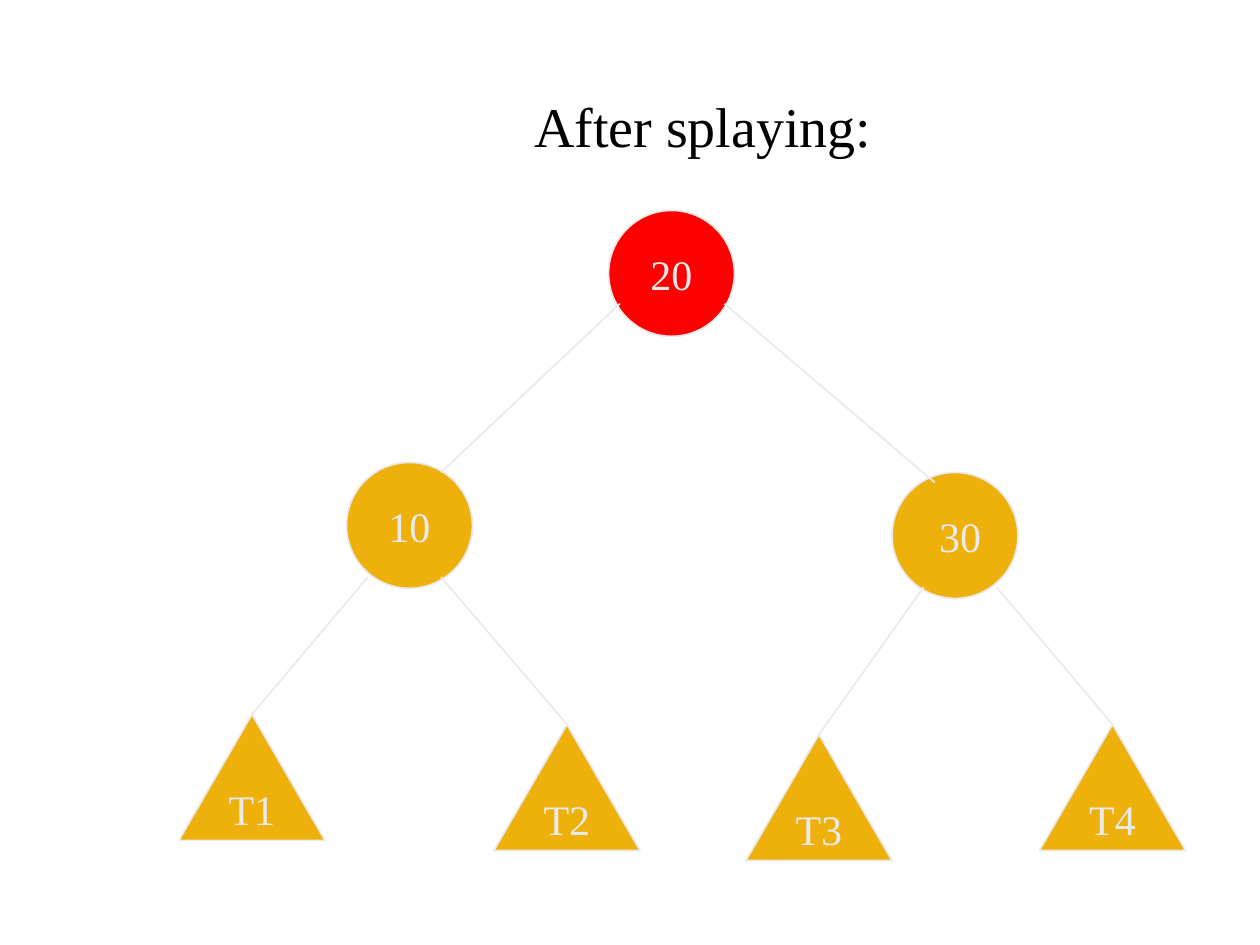
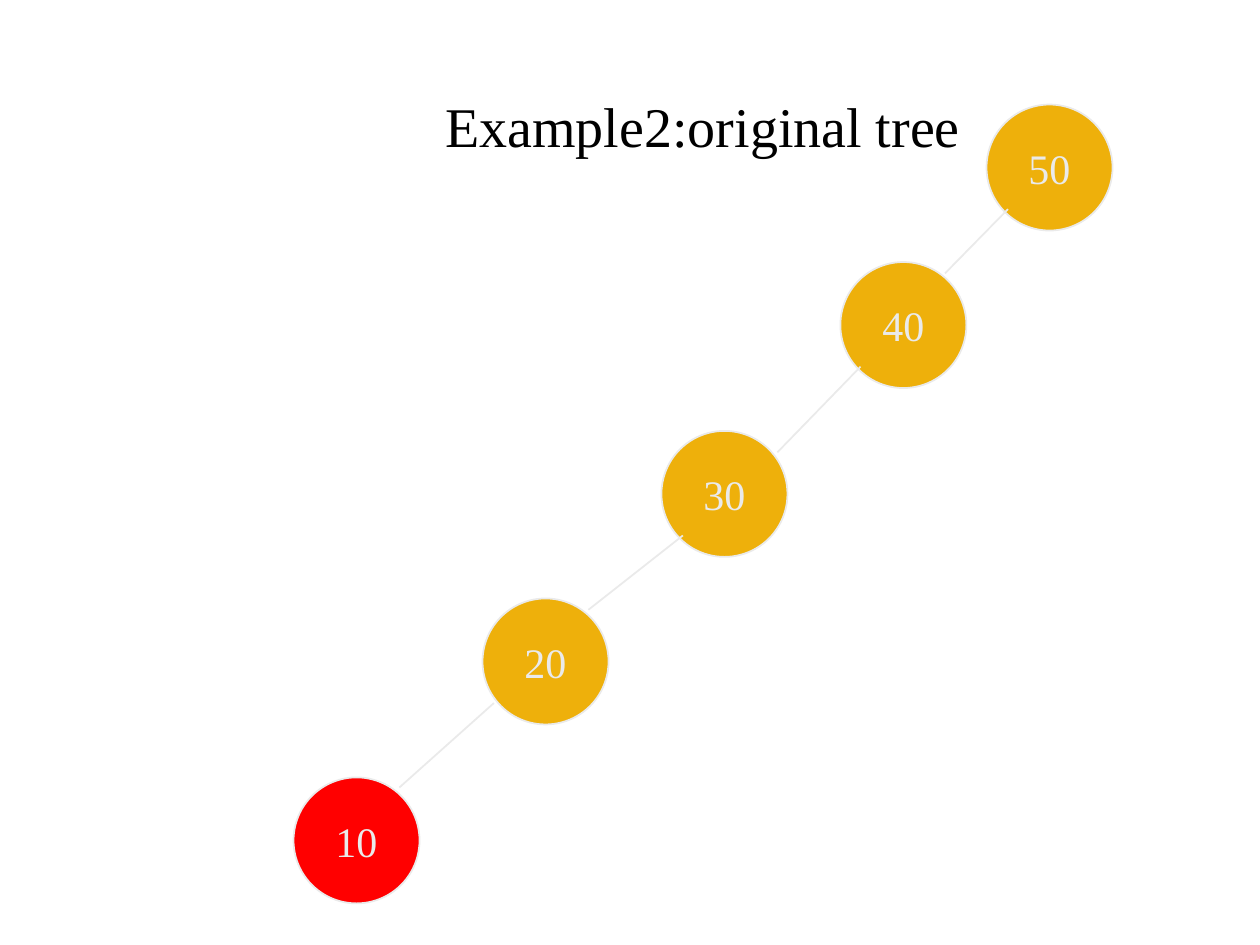
from lxml.etree import SubElement
from pptx import Presentation
from pptx.dml.color import RGBColor
from pptx.enum.shapes import MSO_CONNECTOR, MSO_SHAPE
from pptx.enum.text import MSO_ANCHOR, PP_ALIGN
from pptx.oxml.ns import qn
from pptx.util import Inches, Pt

COLORS = {"node": "EEB00B", "splayed": "FF0000", "pale": "EAEAEA",
          "title": "000000", "background": "FFFFFF"}
FONT = "Times New Roman"
TITLE_FONT = {"name": FONT, "size": Pt(32)}
LABEL_FONT = {"name": FONT, "size": Pt(24)}
FRAME = {"vertical_anchor": MSO_ANCHOR.MIDDLE,
         "margin_left": Inches(0.1), "margin_right": Inches(0.1),
         "margin_top": Inches(0.05), "margin_bottom": Inches(0.05)}
NODE_SIZE = 1
SUBTREE_WIDTH = 1.16


def color(key):
    return RGBColor.from_string(COLORS[key])


def apply(target, values):
    for attribute, value in values.items():
        setattr(target, attribute, value)


class TreeDeck:
    """Holds the shared style and the slide being drawn."""

    def __init__(self):
        self.deck = Presentation()
        apply(self.deck, {"slide_width": Inches(10), "slide_height": Inches(7.5)})
        self.slide = None

    def new_slide(self, heading):
        self.slide = self.deck.slides.add_slide(self.deck.slide_layouts[6])
        background = self.slide.background.fill
        background.solid()
        background.fore_color.rgb = color("background")
        title = self.slide.shapes.add_textbox(
            Inches(1.33), Inches(0.33), Inches(8.5), Inches(1.32))
        self.add_text(title, heading, TITLE_FONT, "title", wrap=True)

    def add_text(self, holder, text, font, ink, wrap=False):
        frame = holder.text_frame
        apply(frame, {**FRAME, "word_wrap": wrap})
        paragraph = frame.paragraphs[0]
        paragraph.alignment = PP_ALIGN.CENTER
        run = paragraph.add_run()
        run.text = text
        apply(run.font, font)
        run.font.color.rgb = color(ink)

    def outline(self, line):
        line.width = Pt(1)
        line.color.rgb = color("pale")

    def labelled(self, kind, label, left, top, width, fill):
        figure = self.slide.shapes.add_shape(
            kind, Inches(left), Inches(top), Inches(width), Inches(NODE_SIZE))
        figure.shadow.inherit = False
        figure.fill.solid()
        figure.fill.fore_color.rgb = color(fill)
        self.outline(figure.line)
        self.add_text(figure, label, LABEL_FONT, "pale")
        return figure

    def node(self, label, left, top, fill="node"):
        return self.labelled(MSO_SHAPE.OVAL, label, left, top, NODE_SIZE, fill)

    def subtree(self, label, left, top):
        return self.labelled(MSO_SHAPE.ISOSCELES_TRIANGLE, label, left, top,
                             SUBTREE_WIDTH, "node")

    def edge(self, child, parent):
        points = [Inches(value) for value in (*child, *parent)]
        branch = self.slide.shapes.add_connector(MSO_CONNECTOR.STRAIGHT, *points)
        self.outline(branch.line)
        SubElement(branch._element.spPr, qn("a:effectLst"))
        return branch


def draw_splayed_tree(tree):
    tree.new_slide("After splaying:")
    tree.node("10", 2.75, 3.67)
    tree.node("20", 4.83, 1.67, "splayed")
    tree.node(" 30", 7.08, 3.75)

    # Branches from the root
    tree.edge((3.5, 3.75), (4.92, 2.41))
    tree.edge((7.42, 3.83), (5.75, 2.41))

    # Subtrees, each hung by its apex from a point on its parent
    subtrees = [("T1", 1.42, 5.67, (2.92, 4.58)),
                ("T2", 3.92, 5.75, (3.5, 4.58)),
                ("T3", 5.92, 5.83, (7.33, 4.66)),
                ("T4", 8.25, 5.75, (7.91, 4.66))]
    for label, left, top, parent in subtrees:
        triangle = tree.subtree(label, left, top)
        apex = (left + SUBTREE_WIDTH / 2, top)
        tree.edge(apex, parent).begin_connect(triangle, 0)


def draw_original_tree(tree):
    tree.new_slide("Example2:original tree")

    # Chain of left children, from the root down
    chain = [("50", 7.83, 0.83), ("40", 6.67, 2.08), ("30", 5.25, 3.42),
             ("20", 3.83, 4.75), ("10", 2.33, 6.17, "splayed")]
    for member in chain:
        tree.node(*member)

    branches = [((7.5, 2.17), (8, 1.66)), ((6.17, 3.59), (6.83, 2.91)),
                ((4.67, 4.84), (5.42, 4.25)), ((3.17, 6.25), (3.92, 5.58))]
    for child, parent in branches:
        tree.edge(child, parent)


def main():
    tree = TreeDeck()
    draw_splayed_tree(tree)
    draw_original_tree(tree)
    tree.deck.save("out.pptx")


if __name__ == "__main__":
    main()
